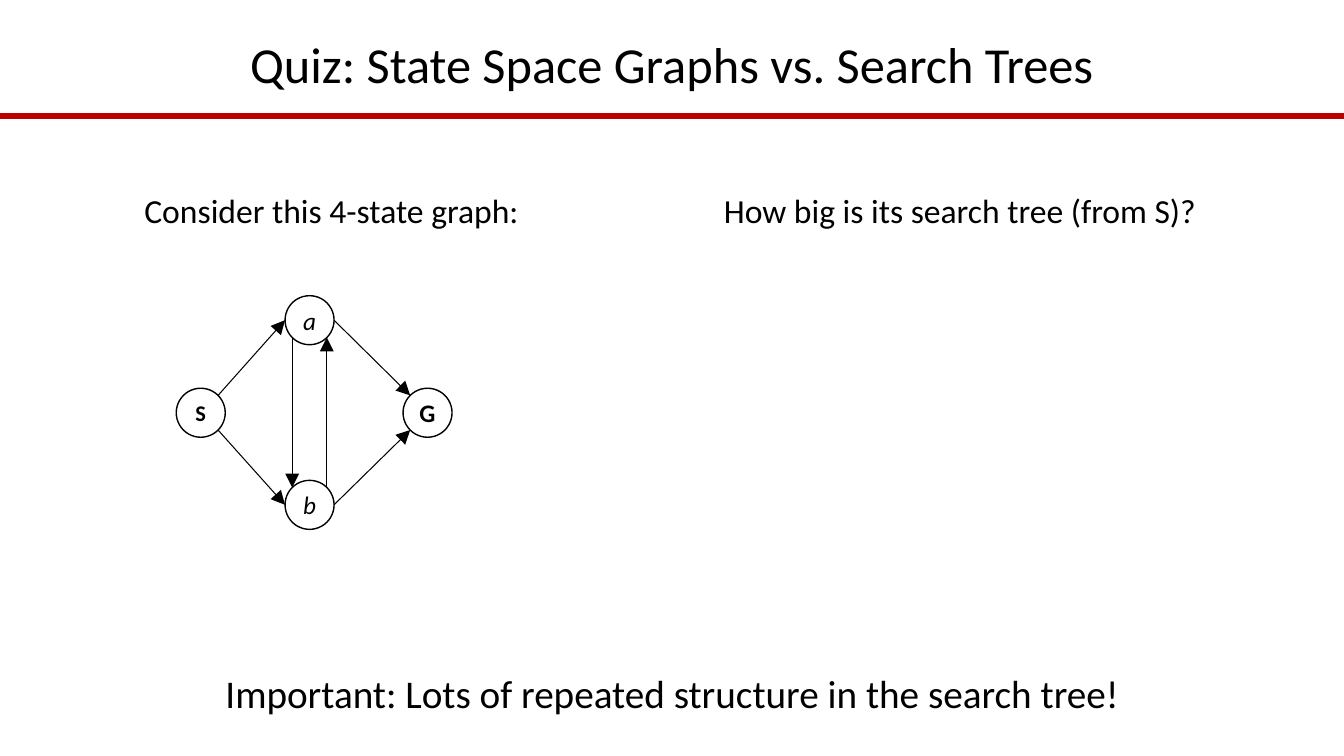
import math
from dataclasses import dataclass

import pptx
import pptx.dml.color
import pptx.enum.shapes
import pptx.enum.text
import pptx.oxml
import pptx.oxml.ns
import pptx.util

Pt = pptx.util.Pt
ALIGN = pptx.enum.text.PP_ALIGN
ANCHOR = pptx.enum.text.MSO_ANCHOR


@dataclass(frozen=True)
class Theme:
    font: str = "Calibri"
    ink: str = "000000"
    rule: str = "BB0000"
    title: float = 36
    takeaway: float = 28
    prompt: float = 24
    state: float = 18
    start: float = 16


@dataclass(frozen=True)
class State:
    label: str
    x: float
    y: float
    text_format: dict


@dataclass(frozen=True)
class Transition:
    """Angles are in degrees, clockwise from the right of each circle."""
    source: State
    leave: float
    target: State
    enter: float


@dataclass(frozen=True)
class Caption:
    text: str
    left: float
    top: float
    width: float
    height: float
    size: float
    align: ALIGN = ALIGN.LEFT
    anchor: ANCHOR = ANCHOR.TOP
    spacing: float = 1.0


THEME = Theme()
WIDTH, HEIGHT = 960, 540
DIAMETER = 35

S = State("S", 143.4, 294.8, {"size": Pt(THEME.start), "bold": True})
G = State("G", 305.4, 294.8, {"size": Pt(THEME.state), "bold": True})
A = State("a", 221.1, 228.7, {"size": Pt(THEME.state), "italic": True})
B = State("b", 221.1, 360.6, {"size": Pt(THEME.state), "italic": True})
STATES = [S, G, B, A]

TRANSITIONS = [
    Transition(S, 45, B, 180),
    Transition(A, 135, B, 225),
    Transition(B, 315, A, 45),
    Transition(A, 0, G, 225),
    Transition(B, 0, G, 135),
    Transition(S, 315, A, 180),
]

CAPTIONS = [
    Caption("Quiz: State Space Graphs vs. Search Trees", 66, 24.5, 828, 47.5,
            THEME.title, ALIGN.CENTER, ANCHOR.MIDDLE, 0.9),
    Caption("Consider this 4-state graph:", 96, 132, 306, 36, THEME.prompt),
    Caption("How big is its search tree (from S)?", 510, 132, 402, 36, THEME.prompt),
    Caption("Important: Lots of repeated structure in the search tree!",
            0, 474.5, WIDTH, 41, THEME.takeaway, ALIGN.CENTER),
]


def color(value: str) -> pptx.dml.color.RGBColor:
    return pptx.dml.color.RGBColor.from_string(value)


def write(paragraph, text: str, text_format: dict) -> None:
    paragraph.text = text
    font = paragraph.runs[0].font
    for name, value in {"name": THEME.font, **text_format}.items():
        setattr(font, name, value)
    font.color.rgb = color(THEME.ink)


def draw_caption(slide, caption: Caption) -> None:
    box = slide.shapes.add_textbox(Pt(caption.left), Pt(caption.top),
                                   Pt(caption.width), Pt(caption.height))
    frame = box.text_frame
    frame.word_wrap = True
    frame.vertical_anchor = caption.anchor
    paragraph = frame.paragraphs[0]
    paragraph.alignment = caption.align
    paragraph.line_spacing = caption.spacing
    write(paragraph, caption.text, {"size": Pt(caption.size)})


def draw_state(slide, state: State) -> None:
    circle = slide.shapes.add_shape(
        pptx.enum.shapes.MSO_SHAPE.FLOWCHART_CONNECTOR,
        Pt(state.x - DIAMETER / 2), Pt(state.y - DIAMETER / 2),
        Pt(DIAMETER), Pt(DIAMETER))
    circle.shadow.inherit = False
    circle.fill.background()
    circle.line.color.rgb = color(THEME.ink)
    circle.line.width = Pt(1)
    frame = circle.text_frame
    frame.word_wrap = False
    frame.vertical_anchor = ANCHOR.MIDDLE
    frame.paragraphs[0].alignment = ALIGN.CENTER
    write(frame.paragraphs[0], state.label, state.text_format)


def rim(state: State, degrees: float) -> tuple[float, float]:
    """Return the point on the state's circle at the given angle."""
    angle = math.radians(degrees)
    radius = DIAMETER / 2
    return state.x + radius * math.cos(angle), state.y + radius * math.sin(angle)


def draw_line(slide, start: tuple[float, float], end: tuple[float, float],
              line_color: str, width: float):
    line = slide.shapes.add_connector(
        pptx.enum.shapes.MSO_CONNECTOR.STRAIGHT,
        *(Pt(length) for length in (*start, *end)))
    line.line.color.rgb = color(line_color)
    line.line.width = Pt(width)
    pptx.oxml.ns.qn("a:effectLst")
    line._element.spPr.append(pptx.oxml.parse_xml(
        f'<a:effectLst {pptx.oxml.ns.nsdecls("a")}/>'))
    return line


def draw_transition(slide, transition: Transition) -> None:
    arrow = draw_line(slide, rim(transition.source, transition.leave),
                      rim(transition.target, transition.enter), THEME.ink, 0.75)
    arrow.line._get_or_add_ln().append(pptx.oxml.parse_xml(
        f'<a:tailEnd {pptx.oxml.ns.nsdecls("a")} type="triangle" w="lg" len="lg"/>'))


def main() -> None:
    deck = pptx.Presentation()
    deck.slide_width, deck.slide_height = Pt(WIDTH), Pt(HEIGHT)
    slide = deck.slides.add_slide(deck.slide_layouts[6])
    draw_line(slide, (0, 82.8), (WIDTH, 82.8), THEME.rule, 4)
    for state in STATES:
        draw_state(slide, state)
    for transition in TRANSITIONS:
        draw_transition(slide, transition)
    for caption in CAPTIONS:
        draw_caption(slide, caption)
    deck.save("out.pptx")


if __name__ == "__main__":
    main()
